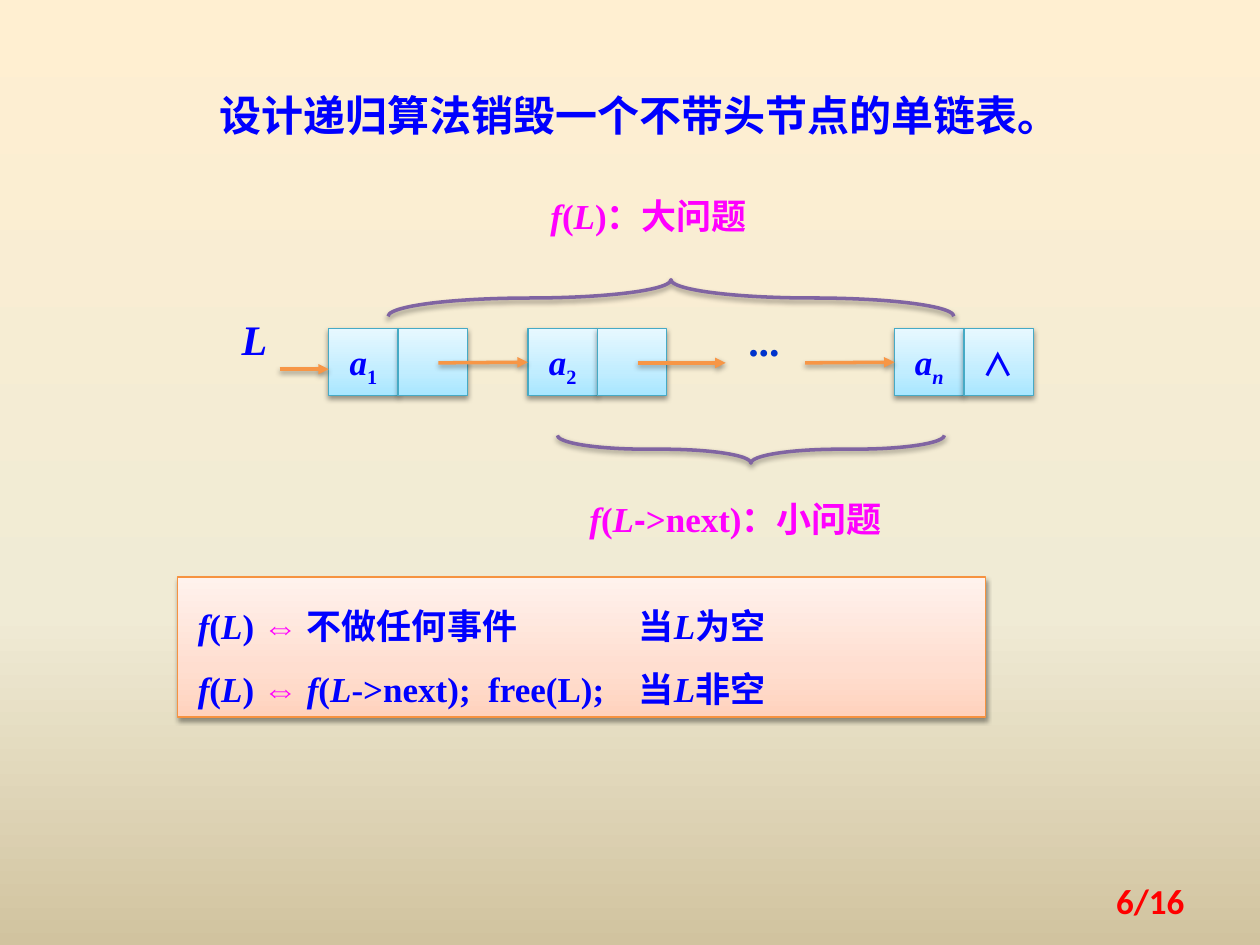
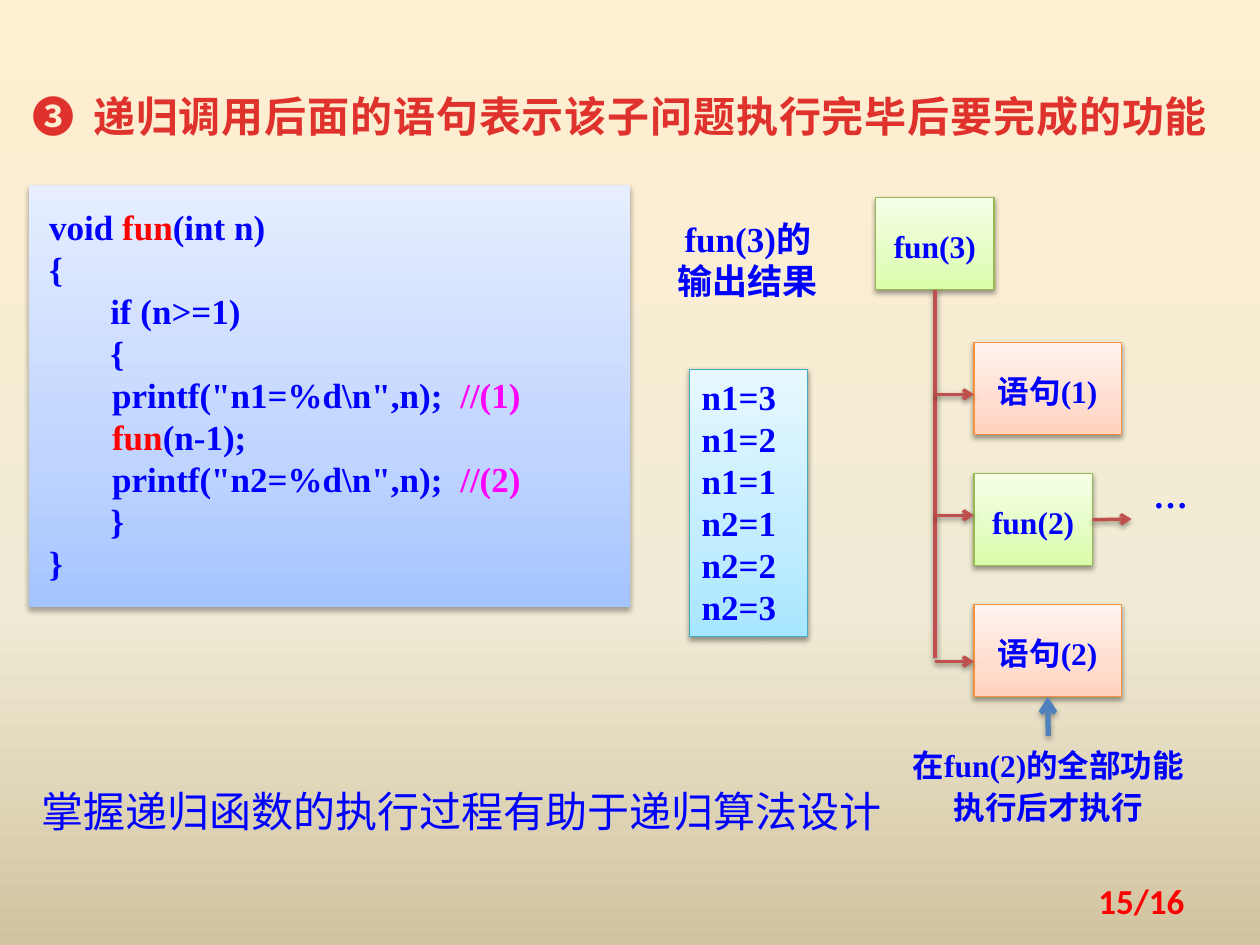
"""Build two slides on recursive algorithms: a linked list and a call trace."""
from dataclasses import dataclass
from typing import NamedTuple, Optional

from lxml.etree import SubElement
from pptx import Presentation
from pptx.dml.color import RGBColor
from pptx.enum.shapes import MSO_CONNECTOR as Connector, MSO_SHAPE as Preset
from pptx.enum.text import MSO_ANCHOR as Anchor, MSO_AUTO_SIZE as AutoSize, PP_ALIGN as Align
from pptx.oxml.ns import qn
from pptx.util import Inches, Pt


class Shadow(NamedTuple):
    alpha: int
    blur: float
    distance: float


class Skin(NamedTuple):
    stops: tuple[tuple[int, str], ...]
    outline: Optional[str] = None
    shadow: Shadow = Shadow(38, 3.1, 1.6)


class Frame(NamedTuple):
    left: float
    top: float
    width: float
    height: float


@dataclass(frozen=True)
class Style:
    size: float = 20
    color: str = "0000FF"
    font: str = "Times New Roman"
    bold: bool = True
    tracking: float = 0


@dataclass(frozen=True)
class Span:
    text: str
    color: Optional[str] = None
    italic: bool = False
    font: Optional[str] = None
    subscript: bool = False


@dataclass(frozen=True)
class Layout:
    align: Align = Align.LEFT
    anchor: Anchor = Anchor.TOP
    spacing: object = 1.1
    wrap: bool = True
    left_inset: float = 0.1
    top_inset: float = 0.05
    tab: Optional[float] = None


@dataclass(frozen=True)
class Theme:
    cjk: str = "Noto Sans CJK SC"
    magenta: str = "FF00FF"
    red: str = "FF0000"
    orange: str = "F79646"
    purple: str = "8064A2"
    brick: str = "C0504D"
    steel: str = "4F81BD"
    line_width: float = 2
    shadow: Shadow = Shadow(38, 3.1, 1.6)
    backdrop: Skin = Skin(((0, "FFEFD1"), (65, "F0EBD5"), (100, "D1C39F")))
    aqua: Skin = Skin(((0, "A7E6FF"), (35, "C1EDFF"), (100, "E7F8FF")), "46AAC5")
    peach: Skin = Skin(((0, "FFD2BD"), (35, "FFDED0"), (100, "FFF2ED")), "F69240")
    lime: Skin = Skin(((0, "DAFDA7"), (35, "E4FCC2"), (100, "F5FFE7")), "98B955")
    blue: Skin = Skin(((0, "A4C4FF"), (35, "BFD4FF"), (100, "E6EEFF")), None, Shadow(32, 3.5, 2.2))
    body: Style = Style()
    label: Style = Style(18)
    list_name: Style = Style(24)
    dots: Style = Style(24, "0033CC")
    problem: Style = Style(20, "FF00FF")
    null_mark: Style = Style(18, font="Noto Sans CJK SC")
    ellipsis: Style = Style(font="Noto Sans CJK SC")
    title: Style = Style(24, font="Noto Sans CJK SC")
    heading: Style = Style(24, "E0322D", "Noto Sans CJK SC", tracking=0.5)
    remark: Style = Style(24, font="Noto Sans CJK SC", bold=False)
    number: Style = Style(20, "FF0000", "Calibri")


THEME = Theme()
FLOW = Layout()
CENTERED = Layout(Align.CENTER, Anchor.MIDDLE)
CELL = Layout(Align.CENTER, Anchor.MIDDLE, wrap=False)
FIXED = Layout(spacing=Pt(24))
FIXED_CENTER = Layout(Align.CENTER, spacing=Pt(24))
TOTAL_PAGES = 16


def lengths(values: tuple) -> list:
    """Turn plain numbers into inches."""
    return [Inches(value) for value in values]


def slanted(marked: str) -> list[Span]:
    """Split text at asterisks and set every second part in italics."""
    parts = enumerate(marked.split("*"))
    return [Span(part, italic=index % 2 == 1) for index, part in parts if part]


def paint_gradient(fill, element, skin: Skin, angle: int) -> None:
    """Fill an element with all stops of a skin."""
    fill.gradient()
    gradient = next(element.iter(qn("a:gradFill")))
    stops = gradient.find(qn("a:gsLst"))
    for stop in list(stops):
        stops.remove(stop)
    for position, color in skin.stops:
        stop = SubElement(stops, qn("a:gs"), pos=str(position * 1000))
        SubElement(stop, qn("a:srgbClr"), val=color)
    gradient.find(qn("a:lin")).set("ang", str(angle * 60000))


def cast_shadow(shape, shadow: Shadow) -> None:
    """Give a shape or connector a soft shadow below it."""
    effects = SubElement(shape._element.spPr, qn("a:effectLst"))
    outer = SubElement(effects, qn("a:outerShdw"), blurRad=str(Pt(shadow.blur)),
                       dist=str(Pt(shadow.distance)), dir="5400000", rotWithShape="0")
    color = SubElement(outer, qn("a:srgbClr"), val="000000")
    SubElement(color, qn("a:alpha"), val=str(shadow.alpha * 1000))


def write(shape, lines: list[list[Span]], style: Style, layout: Layout) -> None:
    """Write formatted lines into a shape."""
    frame = shape.text_frame
    frame.word_wrap = layout.wrap
    frame.auto_size = AutoSize.NONE
    frame.vertical_anchor = layout.anchor
    frame.margin_left, frame.margin_right = lengths((layout.left_inset, 0.1))
    frame.margin_top = frame.margin_bottom = Inches(layout.top_inset)
    for index, spans in enumerate(lines):
        para = frame.add_paragraph() if index else frame.paragraphs[0]
        para.alignment = layout.align
        para.line_spacing = layout.spacing
        if layout.tab:
            tabs = SubElement(para._p.get_or_add_pPr(), qn("a:tabLst"))
            SubElement(tabs, qn("a:tab"), pos=str(Inches(layout.tab)), algn="l")
        for span in spans:
            add_span(para, span, style)


def add_span(para, span: Span, style: Style) -> None:
    """Add one run to a paragraph."""
    run = para.add_run()
    run.text = span.text
    font = run.font
    font.name = span.font or style.font
    font.size = Pt(style.size)
    font.bold = style.bold
    font.italic = span.italic
    font.color.rgb = RGBColor.from_string(span.color or style.color)
    properties = run._r.get_or_add_rPr()
    SubElement(properties, qn("a:ea"), typeface=THEME.cjk)
    if span.subscript:
        properties.set("baseline", "-25000")
    if style.tracking:
        properties.set("spc", str(round(style.tracking * 100)))


def add_text(page, frame: Frame, spans: list[Span], style: Style, layout: Layout = FLOW):
    """Add a one-paragraph text box."""
    box = page.shapes.add_textbox(*lengths(frame))
    write(box, [spans], style, layout)
    return box


def add_box(page, frame: Frame, skin: Skin, lines: list[list[Span]],
            style: Style = THEME.body, layout: Layout = CENTERED):
    """Add a shaded rectangle with text."""
    box = page.shapes.add_shape(Preset.RECTANGLE, *lengths(frame))
    paint_gradient(box.fill, box._element.spPr, skin, 270)
    if skin.outline:
        box.line.color.rgb = RGBColor.from_string(skin.outline)
        box.line.width = Pt(0.75)
    else:
        box.line.fill.background()
    cast_shadow(box, skin.shadow)
    write(box, lines, style, layout)
    return box


def add_line(page, start: tuple[float, float], end: tuple[float, float], color: str,
             head: Optional[str] = None, width: float = THEME.line_width,
             shadow: Shadow = THEME.shadow):
    """Add a straight connector, with an arrowhead if one is named."""
    line = page.shapes.add_connector(Connector.STRAIGHT, *lengths(start + end))
    line.line.color.rgb = RGBColor.from_string(color)
    line.line.width = Pt(width)
    if head:
        SubElement(line._element.spPr.find(qn("a:ln")), qn("a:tailEnd"), type=head)
    cast_shadow(line, shadow)
    return line


def add_brace(page, frame: Frame, rotation: int, curl: float) -> None:
    """Add a brace turned to lie above or below the list."""
    brace = page.shapes.add_shape(Preset.LEFT_BRACE, *lengths(frame))
    brace.rotation = rotation
    brace.adjustments[0] = curl
    brace.fill.background()
    brace.line.color.rgb = RGBColor.from_string(THEME.purple)
    brace.line.width = Pt(THEME.line_width)
    cast_shadow(brace, THEME.shadow)


def add_page(deck, number: int, title: str, frame: Frame, style: Style, layout: Layout):
    """Add a slide with its title and page number."""
    page = deck.slides.add_slide(deck.slide_layouts[5])
    heading = page.shapes.title
    heading.left, heading.top, heading.width, heading.height = lengths(frame)
    write(heading, [[Span(title)]], style, layout)
    add_text(page, Frame(7.17, 6.95, 2.33, 0.4), [Span(f"{number}/{TOTAL_PAGES}")],
             THEME.number, Layout(Align.RIGHT, Anchor.MIDDLE, 1.0))
    return page


def build_list_page(deck) -> None:
    """Show how destroying a linked list splits into a smaller problem."""
    page = add_page(deck, 6, "设计递归算法销毁一个不带头节点的单链表。",
                    Frame(1.64, 0.62, 6.72, 0.55), THEME.title, FLOW)
    top, side, height, middle = 2.61, 0.55, 0.53, 2.88
    nodes = []
    for left, index in ((2.61, "1"), (4.19, "2"), (7.1, "n")):
        last = index == "n"
        name = [Span("a", italic=True), Span(index, italic=last, subscript=True)]
        nodes.append(add_box(page, Frame(left, top, side, height), THEME.aqua, [name], layout=CELL))
        link = [[Span("∧")]] if last else []
        add_box(page, Frame(left + side, top, side, height), THEME.aqua, link, THEME.null_mark, CELL)
    for start, target in ((3.48, nodes[1]), (5.06, None), (6.39, nodes[2])):
        arrow = add_line(page, (start, middle), (start + 0.7, middle), THEME.orange, "triangle")
        if target:
            arrow.end_connect(target, 1)
    add_line(page, (2.22, 2.93), (2.61, 2.93), THEME.orange, "triangle")
    add_text(page, Frame(5.84, 2.41, 0.79, 0.55), [Span("...")], THEME.dots)
    add_text(page, Frame(1.82, 2.4, 0.55, 0.55), slanted("*L*"), THEME.list_name)
    add_brace(page, Frame(5.18, 0.12, 0.29, 4.49), 90, 4.68)
    add_brace(page, Frame(5.85, 2.03, 0.22, 3.07), 270, 3.2)
    add_text(page, Frame(4.27, 1.46, 2.28, 0.47), slanted("*f*(*L*)：大问题"), THEME.problem)
    small = slanted("*f*(*L*") + [Span("-", font="Arial"), Span(">next)：小问题")]
    add_text(page, Frame(4.58, 3.87, 3.07, 0.47), small, THEME.problem)
    equals = Span("⇔ ", THEME.magenta)
    rules = [slanted("*f*(*L*) ") + [equals] + slanted(rule)
             for rule in ("不做任何事件\t\t当*L*为空", "*f*(*L*->next);  free(L);\t当*L*非空")]
    add_box(page, Frame(1.41, 4.58, 6.41, 1.11), THEME.peach, rules,
            layout=Layout(spacing=1.5, left_inset=0.16))


def print_line(number: int) -> list[Span]:
    """Return one numbered print statement of the program."""
    return [Span(f'\tprintf("n{number}=%d\\n",n);  '), Span(f"//({number})", THEME.magenta)]


def build_trace_page(deck) -> None:
    """Show a recursive function, its output and its call order."""
    page = add_page(deck, 15, "❸\t递归调用后面的语句表示该子问题执行完毕后要完成的功能",
                    Frame(0.16, 0.63, 9.61, 0.55), THEME.heading, Layout(tab=0.48))
    call = Span("fun", THEME.red)
    code = [[Span("void "), call, Span("(int n)")], [Span("{")],
            [Span("       if (n>=1)")], [Span("       {")],
            print_line(1), [Span("\t"), call, Span("(n-1);")], print_line(2),
            [Span("       }")], [Span("}")]]
    add_box(page, Frame(0.23, 1.47, 4.77, 3.35), THEME.blue, code,
            layout=Layout(spacing=Pt(24), left_inset=0.16, top_inset=0.16))
    output = [[Span(line)] for line in ("n1=3", "n1=2", "n1=1", "n2=1", "n2=2", "n2=3")]
    add_box(page, Frame(5.47, 2.93, 0.94, 2.12), THEME.aqua, output, layout=Layout(spacing=1.0))
    add_text(page, Frame(5.23, 1.68, 1.41, 0.77), [Span("fun(3)的输出结果")],
             THEME.body, FIXED_CENTER)
    add_text(page, Frame(7.03, 5.84, 2.58, 0.77), [Span("在fun(2)的全部功能执行后才执行")],
             THEME.label, FIXED_CENTER)
    steps = {}
    for name, left, top, width, skin in (
            ("fun(3)", 6.95, 1.57, 0.94, THEME.lime), ("语句(1)", 7.73, 2.72, 1.17, THEME.peach),
            ("fun(2)", 7.73, 3.76, 0.94, THEME.lime), ("语句(2)", 7.73, 4.8, 1.17, THEME.peach)):
        steps[name] = add_box(page, Frame(left, top, width, 0.73), skin, [[Span(name)]], THEME.label)
    trunk = add_line(page, (7.42, 2.3), (7.42, 5.22), THEME.brick)
    trunk.begin_connect(steps["fun(3)"], 2)
    for height in (3.13, 4.09, 5.25):
        add_line(page, (7.42, height), (7.73, height), THEME.brick, "arrow")
    onward = add_line(page, (8.67, 4.12), (8.98, 4.12), THEME.brick, "arrow")
    onward.begin_connect(steps["fun(2)"], 3)
    pointer = add_line(page, (8.32, 5.84), (8.32, 5.53), THEME.steel, "arrow", 3, Shadow(35, 3.1, 1.8))
    pointer.end_connect(steps["语句(2)"], 2)
    add_text(page, Frame(8.98, 3.8, 0.63, 0.44), [Span("…")], THEME.ellipsis, FIXED_CENTER)
    add_text(page, Frame(0.23, 6.25, 7.11, 0.44), [Span("掌握递归函数的执行过程有助于递归算法设计")],
             THEME.remark, FIXED)


def main() -> None:
    """Build and save the deck."""
    deck = Presentation()
    deck.slide_width, deck.slide_height = lengths((10, 7.5))
    master = deck.slide_master
    paint_gradient(master.background.fill, master._element, THEME.backdrop, 90)
    build_list_page(deck)
    build_trace_page(deck)
    deck.save("out.pptx")


if __name__ == "__main__":
    main()
